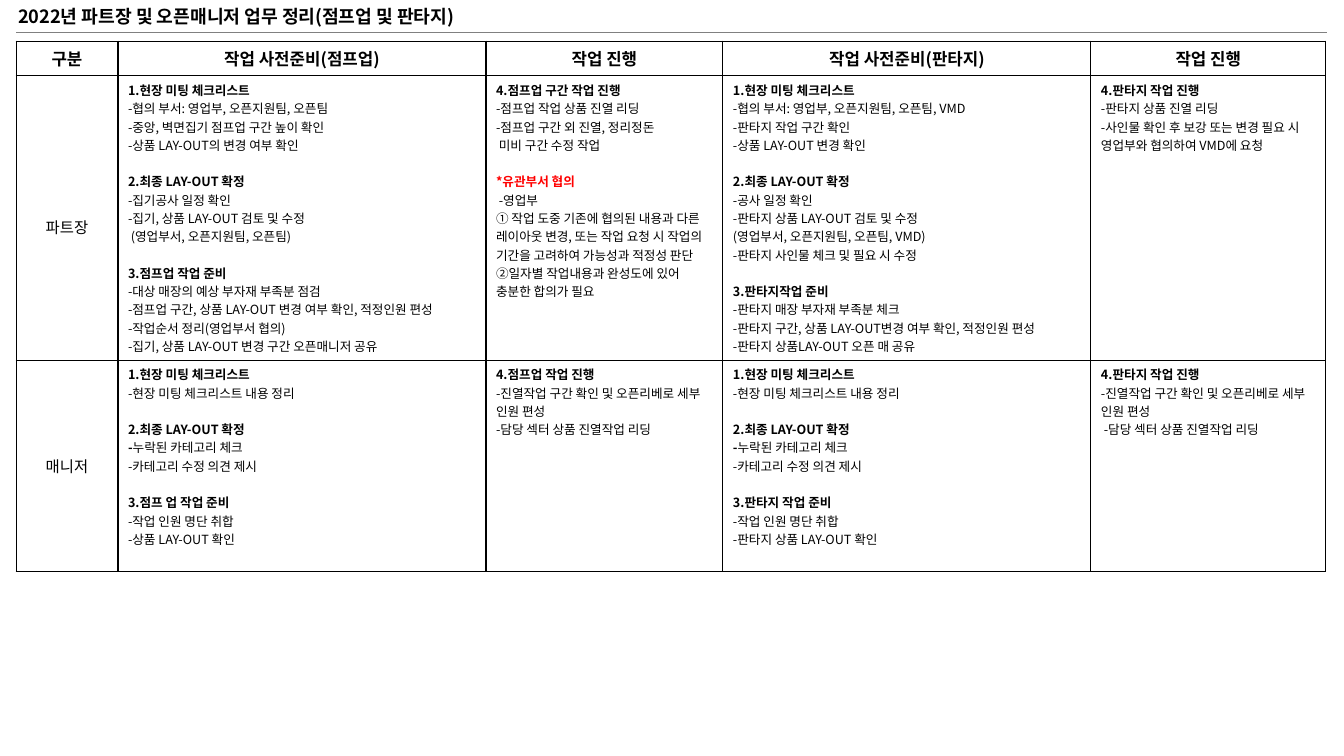
from lxml import etree
from pptx import Presentation
from pptx.dml.color import RGBColor
from pptx.enum.shapes import MSO_CONNECTOR
from pptx.enum.text import MSO_ANCHOR, PP_ALIGN
from pptx.oxml.ns import qn
from pptx.util import Inches, Pt

FONT = "Noto Sans CJK KR"
BLACK, RED, GRAY = "000000", "FF0000", "808080"

TITLE = "2022년 파트장 및 오픈매니저 업무 정리(점프업 및 판타지)"
HEADERS = ["구분", "작업 사전준비(점프업)", "작업 진행", "작업 사전준비(판타지)", "작업 진행"]
COL_WIDTHS = [1.01, 3.65, 2.35, 3.65, 2.33]
ROW_HEIGHTS = [0.34, 2.82, 2.1]

MEETING = "1.현장 미팅 체크리스트"
LAYOUT = "2.최종 LAY-OUT 확정"
MANAGER_MEETING = (MEETING, ["-현장 미팅 체크리스트 내용 정리"])
# A pair is a bold lead followed by regular text
MANAGER_LAYOUT = (LAYOUT, [("-", "누락된 카테고리 체크"), "-카테고리 수정 의견 제시"])
MANAGER_STAFFING = "-진열작업 구간 확인 및 오픈리베로 세부 인원 편성"

# Role, top margin of its label, then one list of (heading, lines) per column
ROLES = [
    ("파트장", 0.23, [
        [(MEETING, ["-협의 부서: 영업부, 오픈지원팀, 오픈팀",
                    "-중앙, 벽면집기 점프업 구간 높이 확인",
                    "-상품 LAY-OUT의 변경 여부 확인"]),
         (LAYOUT, ["-집기공사 일정 확인",
                   "-집기, 상품 LAY-OUT 검토 및 수정",
                   " (영업부서, 오픈지원팀, 오픈팀)"]),
         ("3.점프업 작업 준비", ["-대상 매장의 예상 부자재 부족분 점검",
                          "-점프업 구간, 상품 LAY-OUT 변경 여부 확인, 적정인원 편성",
                          "-작업순서 정리(영업부서 협의)",
                          "-집기, 상품 LAY-OUT 변경 구간 오픈매니저 공유"])],
        [("4.점프업 구간 작업 진행", ["-점프업 작업 상품 진열 리딩",
                             "-점프업 구간 외 진열, 정리정돈",
                             " 미비 구간 수정 작업"]),
         ("*유관부서 협의", [" -영업부",
                       "① 작업 도중 기존에 협의된 내용과 다른 레이아웃 변경, 또는 작업 요청 시 "
                       "작업의 기간을 고려하여 가능성과 적정성 판단",
                       "②일자별 작업내용과 완성도에 있어 충분한 합의가 필요"])],
        [(MEETING, ["-협의 부서: 영업부, 오픈지원팀, 오픈팀, VMD",
                    "-판타지 작업 구간 확인",
                    "-상품 LAY-OUT 변경 확인"]),
         (LAYOUT, ["-공사 일정 확인",
                   "-판타지 상품 LAY-OUT 검토 및 수정",
                   "(영업부서, 오픈지원팀, 오픈팀, VMD)",
                   "-판타지 사인물 체크 및 필요 시 수정"]),
         ("3.판타지작업 준비", ["-판타지 매장 부자재 부족분 체크",
                         "-판타지 구간, 상품 LAY-OUT변경 여부 확인, 적정인원 편성",
                         "-판타지 상품LAY-OUT 오픈 매 공유"])],
        [("4.판타지 작업 진행", ["-판타지 상품 진열 리딩",
                          "-사인물 확인 후 보강 또는 변경 필요 시 영업부와 협의하여 VMD에 요청"])],
    ]),
    ("매니저", 0.05, [
        [MANAGER_MEETING, MANAGER_LAYOUT,
         ("3.점프 업 작업 준비", ["-작업 인원 명단 취합", "-상품 LAY-OUT 확인"])],
        [("4.점프업 작업 진행", [MANAGER_STAFFING, "-담당 섹터 상품 진열작업 리딩"])],
        [MANAGER_MEETING, MANAGER_LAYOUT,
         ("3.판타지 작업 준비", ["-작업 인원 명단 취합", "-판타지 상품 LAY-OUT 확인"])],
        [("4.판타지 작업 진행", [MANAGER_STAFFING, " -담당 섹터 상품 진열작업 리딩"])],
    ]),
]


def rgb(color):
    return RGBColor.from_string(color)


def style(p, size, bold=False, color=BLACK, align=PP_ALIGN.LEFT):
    p.alignment = align
    p.font.size, p.font.bold, p.font.name = Pt(size), bold, FONT
    p.font.color.rgb = rgb(color)
    props = p._p.pPr.find(qn("a:defRPr"))
    etree.SubElement(props, qn("a:ea"), typeface=FONT)


def add_borders(cell):
    tcPr = cell._tc.get_or_add_tcPr()
    for side in ("lnL", "lnR", "lnT", "lnB"):
        ln = etree.SubElement(tcPr, qn(f"a:{side}"), w=str(Pt(1)))
        fill = etree.SubElement(ln, qn("a:solidFill"))
        etree.SubElement(fill, qn("a:srgbClr"), val=BLACK)


def fill_label(cell, text, size, bold=False):
    cell.vertical_anchor = MSO_ANCHOR.MIDDLE
    p = cell.text_frame.paragraphs[0]
    p.text = text
    style(p, size, bold, align=PP_ALIGN.CENTER)


def fill_tasks(cell, sections):
    tf = cell.text_frame
    for i, (heading, lines) in enumerate(sections):
        p = tf.add_paragraph() if i else tf.paragraphs[0]
        p.text = heading
        if i:
            p.space_before = Pt(13)
        style(p, 9, True, RED if heading.startswith("*") else BLACK)
        for line in lines:
            p = tf.add_paragraph()
            if isinstance(line, tuple):
                lead, line = line
                r = p.add_run()
                r.text, r.font.bold = lead, True
            p.add_run().text = line
            style(p, 9)


prs = Presentation()
prs.slide_width, prs.slide_height = Inches(13.33), Inches(7.5)
s = prs.slides.add_slide(prs.slide_layouts[5])

table = s.shapes.add_table(
    len(ROW_HEIGHTS), len(COL_WIDTHS), Inches(0.16), Inches(0.41),
    Inches(sum(COL_WIDTHS)), Inches(sum(ROW_HEIGHTS))).table
table.first_row = table.horz_banding = False
for column, width in zip(table.columns, COL_WIDTHS):
    column.width = Inches(width)
for row, height in zip(table.rows, ROW_HEIGHTS):
    row.height = Inches(height)
for cell in table.iter_cells():
    add_borders(cell)
    cell.fill.background()

for col, header in enumerate(HEADERS):
    fill_label(table.cell(0, col), header, 12, True)
for row, (role, top, columns) in enumerate(ROLES, 1):
    label = table.cell(row, 0)
    fill_label(label, role, 11)
    label.margin_top = Inches(top)
    for col, sections in enumerate(columns, 1):
        fill_tasks(table.cell(row, col), sections)

title = s.shapes.title
title.left, title.top, title.width, title.height = map(Inches, (0.08, 0, 5.04, 0.32))
tf = title.text_frame
tf.text = TITLE
tf.word_wrap = False
tf.vertical_anchor = MSO_ANCHOR.MIDDLE
style(tf.paragraphs[0], 13, True)

rule = s.shapes.add_connector(
    MSO_CONNECTOR.STRAIGHT, Inches(0.16), Inches(0.32), Inches(13.16), Inches(0.32))
rule.line.color.rgb = rgb(GRAY)
rule.line.width = Pt(1)
etree.SubElement(rule._element.spPr, qn("a:effectLst"))

prs.save("out.pptx")
